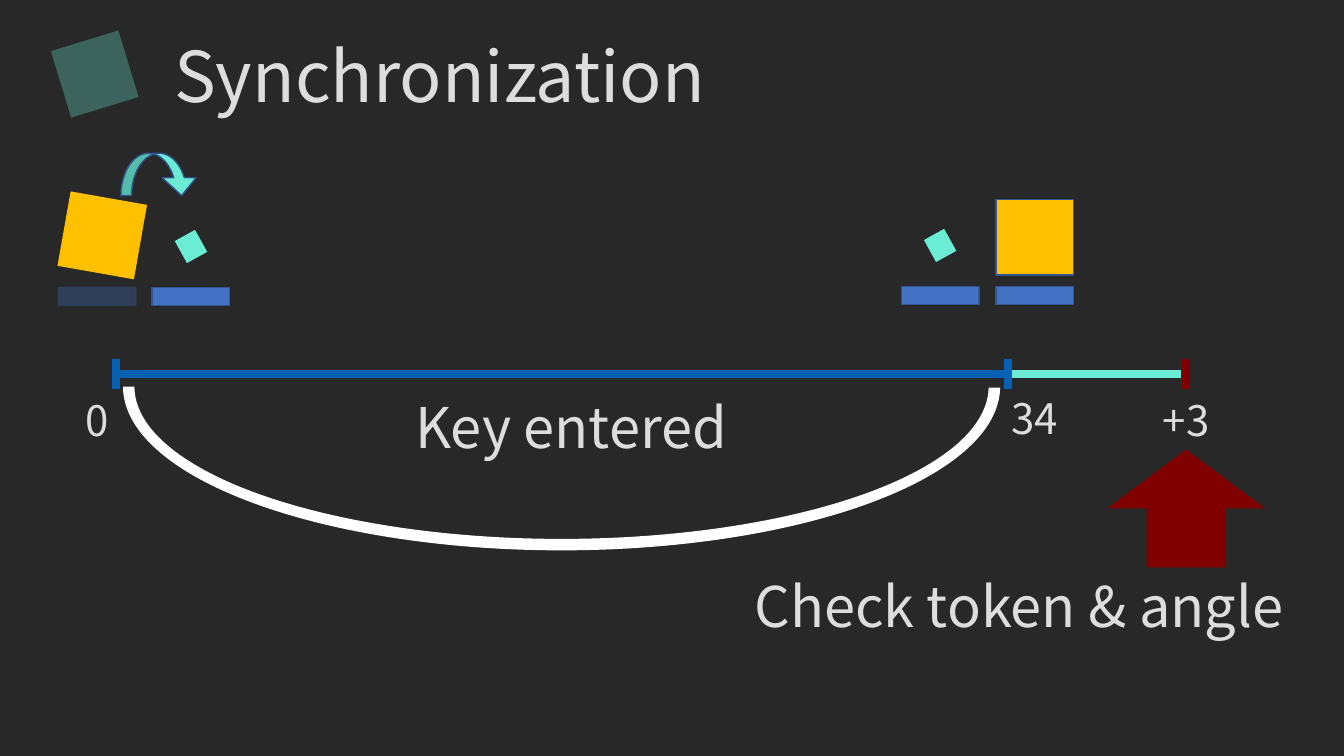
from lxml import etree
from pptx import Presentation
from pptx.dml.color import RGBColor
from pptx.enum.shapes import MSO_CONNECTOR, MSO_SHAPE
from pptx.enum.text import MSO_ANCHOR, MSO_AUTO_SIZE, PP_ALIGN
from pptx.oxml.ns import qn
from pptx.util import Inches, Pt

STRAIGHT = MSO_CONNECTOR.STRAIGHT
RECTANGLE = MSO_SHAPE.RECTANGLE
BLOCK_ARC = MSO_SHAPE.BLOCK_ARC
DOWN_ARROW = MSO_SHAPE.DOWN_ARROW
CURVED_ARROW = MSO_SHAPE.CURVED_DOWN_ARROW
TOP = MSO_ANCHOR.TOP
GROW = MSO_AUTO_SIZE.SHAPE_TO_FIT_TEXT
CENTER = PP_ALIGN.CENTER

FONT = "Noto Sans CJK KR"
DARK, LIGHT, WHITE = "282828", "DDDDDD", "FFFFFF"
MINT, YELLOW, RED = "6BECD5", "FFC000", "800000"
TRACK_BLUE, BAR_BLUE, OUTLINE = "0861B3", "4472C4", "325491"


def color(value):
    return RGBColor.from_string(value)


class Stage:
    def __init__(self, deck):
        self.page = deck.slides.add_slide(deck.slide_layouts[5])
        self.page.background.fill.solid()
        self.page.background.fill.fore_color.rgb = color(DARK)

    def set_text(self, box, words, size):
        frame = box.text_frame
        frame.word_wrap = True
        frame.auto_size = GROW
        frame.vertical_anchor = TOP
        para = frame.paragraphs[0]
        para.alignment = CENTER
        para.line_spacing = 1.0
        span = para.add_run()
        span.text = words
        span.font.name = FONT
        span.font.size = Pt(size)
        span.font.color.rgb = color(LIGHT)

    def title(self, words, left, top, width, height):
        box = self.page.shapes.title
        box.left, box.top = Inches(left), Inches(top)
        box.width, box.height = Inches(width), Inches(height)
        self.set_text(box, words, 50)

    def label(self, words, left, top, width, height, size):
        box = self.page.shapes.add_textbox(
            Inches(left), Inches(top), Inches(width), Inches(height))
        self.set_text(box, words, size)

    def line(self, x1, y1, x2, y2, stroke):
        line = self.page.shapes.add_connector(
            STRAIGHT, Inches(x1), Inches(y1), Inches(x2), Inches(y2))
        line.line.color.rgb = color(stroke)
        line.line.width = Pt(6)
        etree.SubElement(line._element.spPr, qn("a:effectLst"))

    def shape(self, kind, left, top, width, height, fill, outline=None,
              turn=0, opacity=100, flip=False, adjust=()):
        shape = self.page.shapes.add_shape(
            kind, Inches(left), Inches(top), Inches(width), Inches(height))
        shape.shadow.inherit = False
        shape.rotation = turn
        for index, value in enumerate(adjust):
            shape.adjustments[index] = value
        shape.fill.solid()
        shape.fill.fore_color.rgb = color(fill)
        if outline:
            shape.line.color.rgb = color(outline)
            shape.line.width = Pt(1)
        else:
            shape.line.fill.background()
        properties = shape._element.spPr
        if flip:
            properties.find(qn("a:xfrm")).set("flipV", "1")
        if opacity < 100:
            for paint in properties.iter(qn("a:srgbClr")):
                etree.SubElement(paint, qn("a:alpha")).set("val", str(opacity * 1000))


deck = Presentation()
deck.slide_width, deck.slide_height = Inches(13.33), Inches(7.5)
stage = Stage(deck)

START, ENTERED, CHECKED = 1.15, 10, 11.76
TRACK_Y, TICK = 3.71, 0.15

stage.line(ENTERED, TRACK_Y, CHECKED, TRACK_Y, MINT)
stage.title("Synchronization", 0.43, 0.27, 7.86, 0.94)
stage.shape(RECTANGLE, 0.59, 0.39, 0.7, 0.69, MINT, turn=343, opacity=30)
stage.line(START, TRACK_Y, ENTERED, TRACK_Y, TRACK_BLUE)
for x, stroke in ((START, TRACK_BLUE), (ENTERED, TRACK_BLUE), (CHECKED, RED)):
    stage.line(x, TRACK_Y + TICK, x, TRACK_Y - TICK, stroke)

stage.shape(BLOCK_ARC, 1.22, 2.21, 8.7, 3.25, WHITE, flip=True,
            adjust=(108, 215.92, 0.035))
stage.shape(DOWN_ARROW, 10.98, 4.46, 1.57, 1.17, RED, flip=True)

for words, left, top in (("0", 0.52, 3.86), ("34", 9.82, 3.84), ("+3", 11.32, 3.86)):
    stage.label(words, left, top, 0.89, 0.61, 30)
for words, left, top, width in (("Key entered", 2.77, 3.84, 5.79),
                                ("Check token & angle", 6.54, 5.62, 7.13)):
    stage.label(words, left, top, width, 0.77, 40)

for left, top, opacity in ((0.58, 2.85, 30), (1.51, 2.85, 100),
                           (8.94, 2.84, 100), (9.88, 2.84, 100)):
    stage.shape(RECTANGLE, left, top, 0.77, 0.18, BAR_BLUE, OUTLINE, opacity=opacity)
for left, top in ((1.78, 2.32), (9.21, 2.31)):
    stage.shape(RECTANGLE, left, top, 0.23, 0.25, MINT, turn=331.1)
for left, top, turn, outline in ((0.63, 1.96, 10, None), (9.88, 1.98, 0, OUTLINE)):
    stage.shape(RECTANGLE, left, top, 0.77, 0.75, YELLOW, outline, turn)
stage.shape(CURVED_ARROW, 1.2, 1.52, 0.77, 0.42, MINT, OUTLINE,
            adjust=(0.25, 0.8, 0.42))

deck.save("out.pptx")
